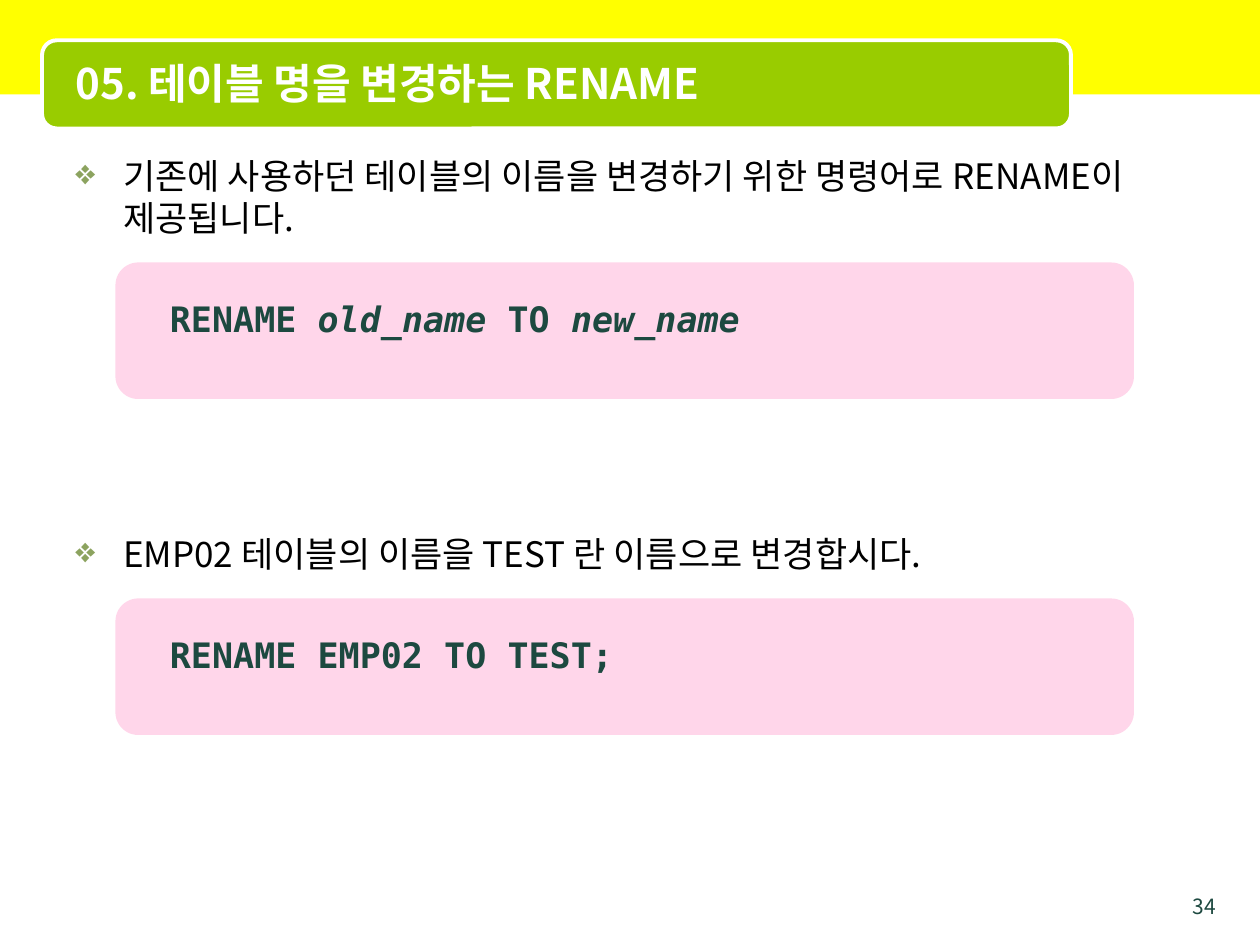
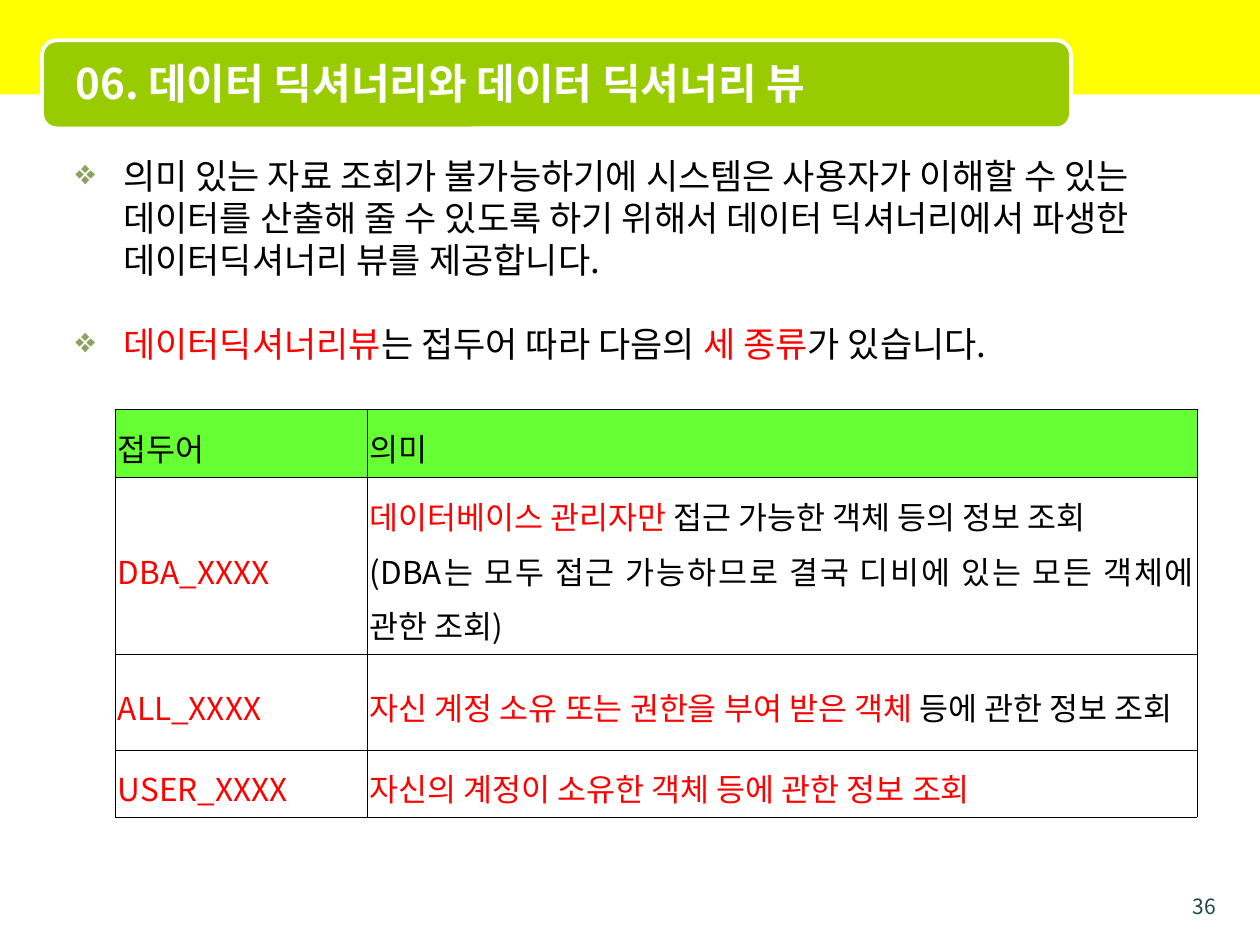
from lxml.etree import SubElement as Sub
from pptx import Presentation
from pptx.dml.color import RGBColor as Rgb
from pptx.enum.shapes import MSO_SHAPE as Shape
from pptx.enum.text import MSO_ANCHOR as Anchor
from pptx.enum.text import MSO_AUTO_SIZE as Fit
from pptx.enum.text import PP_ALIGN as Align
from pptx.oxml.ns import qn
from pptx.util import Inches, Pt

HUES = {
    "band": "FFFF00", "title": "99CC00", "white": "FFFFFF", "ink": "000000",
    "dark": "1D4940", "mark": "8CA35F", "code": "FF99CC", "red": "FF0000",
    "head": "66FF33",
}
SANS, MONO = "Noto Sans CJK KR", "DejaVu Sans Mono"
COLS, ROWS = 120, 90          # grid laid over the slide
WIDE, HIGH = Inches(10), Inches(7.5)
LINE = Pt(24)                 # line pitch of the body text


def hue(name):
    return Rgb.from_string(HUES[name])


def area(x, y, w, h):
    """Turn grid columns and rows into slide lengths."""
    return (int(x * WIDE / COLS), int(y * HIGH / ROWS),
            int(w * WIDE / COLS), int(h * HIGH / ROWS))


# Text: parts between asterisks are marked, as red or as italic
def write(para, text, size, color="ink", face=SANS, bold=False, slant=False):
    font = para.font
    font.size, font.bold, font.name = Pt(size), bold, face
    font.color.rgb = hue(color)
    font._element.set("kern", "0")
    Sub(font._element, qn("a:ea"), typeface=face)
    for i, part in enumerate(text.split("*")):
        if not part:
            continue
        run = para.add_run()
        run.text = part
        if i % 2 and slant:
            run.font.italic = True
        elif i % 2:
            run.font.color.rgb = hue("red")


def add_text(slide, box):
    frame = slide.shapes.add_textbox(*area(*box)).text_frame
    frame.word_wrap = True
    return frame


def add_block(slide, kind, box, color):
    block = slide.shapes.add_shape(kind, *area(*box))
    block.shadow.inherit = False
    block.fill.solid()
    block.fill.fore_color.rgb = hue(color)
    block.line.fill.background()
    return block


# Shared frame: yellow band, title plate, title and page number
def add_page(deck, title, number):
    slide = deck.slides.add_slide(deck.slide_layouts[5])
    add_block(slide, Shape.RECTANGLE, (0, 0, COLS, 9), "band")
    plate = add_block(slide, Shape.ROUNDED_RECTANGLE, (4, 3.84, 98, 8.4), "title")
    plate.line.color.rgb = hue("white")
    plate.line.width = Pt(2.25)

    head = slide.shapes.title
    head._element.getparent().append(head._element)   # in front of the plate
    head.left, head.top, head.width, head.height = area(6, 4.2, 95, 7.44)
    frame = head.text_frame
    frame.auto_size, frame.vertical_anchor = Fit.NONE, Anchor.MIDDLE
    para = frame.paragraphs[0]
    para.alignment = Align.LEFT
    write(para, title, 24, "white", bold=True)

    para = add_text(slide, (111, 84.48, 6, 2.52)).paragraphs[0]
    para.alignment = Align.RIGHT
    write(para, number, 12, "dark")
    return slide


# Bulleted body: each item has its text and the lines of space before it
def add_body(slide, box, items):
    frame = add_text(slide, box)
    for i, (text, gap) in enumerate(items):
        para = frame.add_paragraph() if i else frame.paragraphs[0]
        props = para._p.get_or_add_pPr()
        props.set("marL", str(Inches(0.38)))
        props.set("indent", str(-Inches(0.38)))
        Sub(Sub(props, qn("a:buClr")), qn("a:srgbClr"), val=HUES["mark"])
        Sub(props, qn("a:buChar"), char="❖")
        para.line_spacing, para.space_before = LINE, gap * LINE
        write(para, text, 20)


# Code panel: pale rounded block with one statement
def add_code(slide, box, text):
    x, y, w, h = box
    block = add_block(slide, Shape.ROUNDED_RECTANGLE, box, "code")
    color = block.fill._xPr.find(".//" + qn("a:srgbClr"))
    Sub(color, qn("a:alpha"), val="40000")
    frame = add_text(slide, (x + 4, y + 2.7, w - 8, 5.28))
    frame.auto_size = Fit.SHAPE_TO_FIT_TEXT
    write(frame.paragraphs[0], text, 20, "dark", MONO, True, True)


# Table cell with thin black borders
def fill_cell(cell, text, head):
    cell.margin_left = cell.margin_right = Inches(0.02)
    cell.margin_top = cell.margin_bottom = Inches(0.05)
    cell.vertical_anchor = Anchor.MIDDLE
    props = cell._tc.get_or_add_tcPr()
    for side in ("lnL", "lnR", "lnT", "lnB"):
        edge = Sub(props, qn("a:" + side), w=str(Pt(0.11)))
        Sub(Sub(edge, qn("a:solidFill")), qn("a:srgbClr"), val=HUES["ink"])
    if head:
        cell.fill.solid()
        cell.fill.fore_color.rgb = hue("head")
    else:
        cell.fill.background()
    frame = cell.text_frame
    for i, line in enumerate(text.split("\n")):
        para = frame.add_paragraph() if i else frame.paragraphs[0]
        para.alignment, para.line_spacing = Align.JUSTIFY, 1.2
        write(para, line, 18)


def add_grid(slide, spot, wides, highs, data):
    box = (*spot, sum(wides), sum(highs))
    table = slide.shapes.add_table(len(highs), len(wides), *area(*box)).table
    table.first_row = table.horz_banding = False
    for col, wide in zip(table.columns, wides):
        col.width = area(0, 0, wide, 0)[2]
    for r, (high, texts) in enumerate(zip(highs, data)):
        table.rows[r].height = area(0, 0, 0, high)[3]
        for c, text in enumerate(texts):
            fill_cell(table.cell(r, c), text, r == 0)


BODY = (6, 14.16, 108, 73.68)


def rename_page(deck):
    slide = add_page(deck, "05. 테이블 명을 변경하는 RENAME", "34")
    add_body(slide, BODY, [
        ("기존에 사용하던 테이블의 이름을 변경하기 위한 명령어로 RENAME이 제공됩니다.", 1),
        ("EMP02 테이블의 이름을 TEST 란 이름으로 변경합시다.", 7),
    ])
    codes = ("RENAME *old_name* TO *new_name*", "RENAME EMP02 TO TEST;")
    for i, code in enumerate(codes):
        add_code(slide, (11, 25 + 32 * i, 97, 13), code)


def views_page(deck):
    slide = add_page(deck, "06. 데이터 딕셔너리와 데이터 딕셔너리 뷰", "36")
    add_body(slide, BODY, [
        ("의미 있는 자료 조회가 불가능하기에 시스템은 사용자가 이해할 수 있는 "
         "데이터를 산출해 줄 수 있도록 하기 위해서 데이터 딕셔너리에서 파생한 "
         "데이터딕셔너리 뷰를 제공합니다.", 1),
        ("*데이터딕셔너리뷰*는 접두어 따라 다음의 *세 종류*가 있습니다.", 1),
    ])
    add_grid(slide, (11, 39), (24, 79), (6.48, 16.8, 9.12, 6.4), [
        ("접두어", "의미"),
        ("*DBA_XXXX*",
         "*데이터베이스 관리자만 *접근 가능한 객체 등의 정보 조회\n"
         "(DBA는 모두 접근 가능하므로 결국 디비에 있는 모든 객체에 관한 조회)"),
        ("*ALL_XXXX*",
         "*자신 계정 소유 또는 권한을 부여 받은 객체 *등에 관한 정보 조회"),
        ("*USER_XXXX*", "*자신의 계정이 소유한 객체 등에 관한 정보 조회*"),
    ])


def main():
    deck = Presentation()
    deck.slide_width, deck.slide_height = WIDE, HIGH
    rename_page(deck)
    views_page(deck)
    deck.save("out.pptx")


if __name__ == "__main__":
    main()
